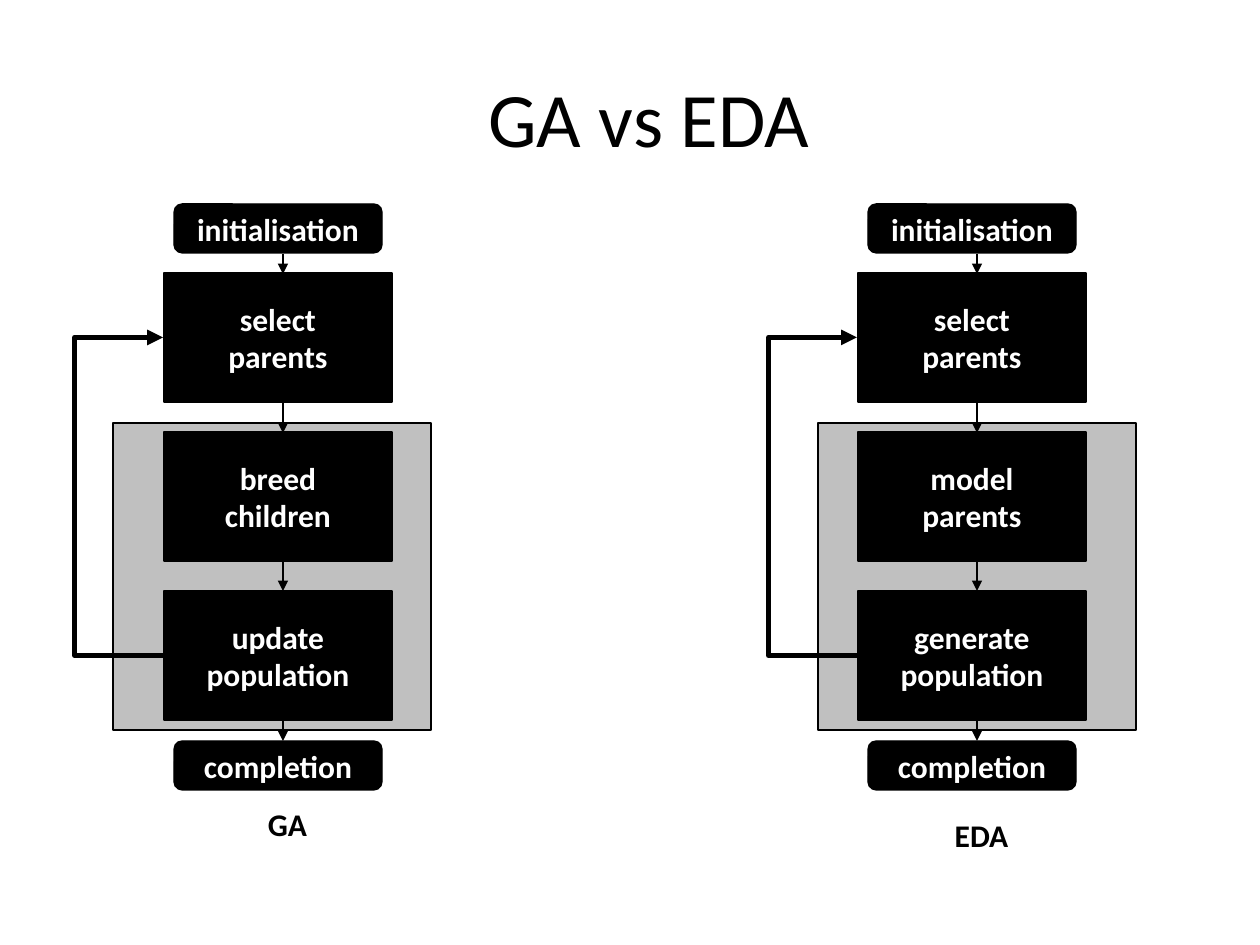
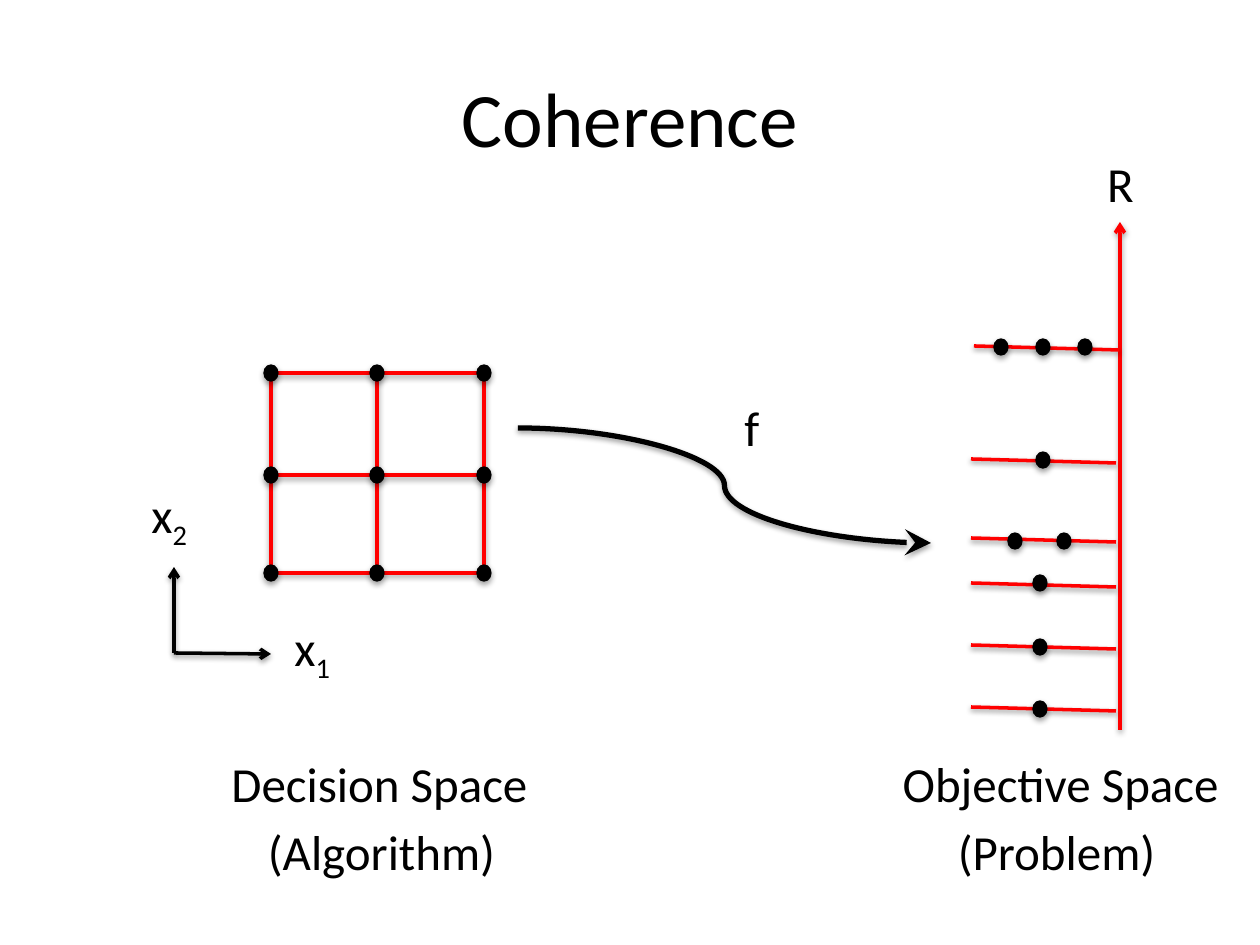
"""Build two slides: a GA and EDA flow comparison, and a coherence diagram."""
import pptx
import pptx.util
import pptx.dml.color
import pptx.enum.shapes
import pptx.enum.text
import pptx.oxml
import pptx.oxml.ns

BLACK = pptx.dml.color.RGBColor(0, 0, 0)
WHITE = pptx.dml.color.RGBColor(255, 255, 255)
GREY = pptx.dml.color.RGBColor(0xC0, 0xC0, 0xC0)
RED = pptx.dml.color.RGBColor(255, 0, 0)
FONT = "Calibri"
EMU_PER_PIXEL = 914400 / 126
LINE_SHADOW = (38000, 20000)
DOT_SHADOW = (35000, 23000)
SHADOW_BLUR = 40000

SHAPE = pptx.enum.shapes.MSO_SHAPE
CONNECTOR = pptx.enum.shapes.MSO_CONNECTOR
CENTER = pptx.enum.text.PP_ALIGN.CENTER
LEFT = pptx.enum.text.PP_ALIGN.LEFT

FLOWS = [
    {"left": 164, "panel": 113, "caption": ("GA", 799),
     "steps": ["select\nparents", "breed\nchildren", "update\npopulation"]},
    {"left": 858, "panel": 818, "caption": ("EDA", 810),
     "steps": ["select\nparents", "model\nparents", "generate\npopulation"]},
]
TERMINALS = [("initialisation", 204), ("completion", 741)]
STEP_TOP, STEP_PITCH, STEP_WIDTH, STEP_HEIGHT = 273, 159, 228, 129
FLOW_ARROWS = [(254, 274), (403, 433), (562, 591), (720, 741)]
LOOP_REACH = 90

GRID_COLUMNS = [271, 377, 484]
GRID_ROWS = [373, 475, 573]
DOT_WIDTH, DOT_HEIGHT = 14, 16
TICK_WIDTH, TICK_DROP = 145, 4
TICKS = [
    (974, 346, 347, [1001, 1043, 1085]),
    (971, 459, 460, [1043]),
    (971, 538, 541, [1015, 1064]),
    (971, 583, 583, [1040]),
    (971, 645, 647, [1040]),
    (971, 707, 709, [1040]),
]
AXES = [
    ((1120, 730), (1120, 222), RED),
    ((174, 653), (271, 654), BLACK),
    ((174, 653), (174, 567), BLACK),
]
LABELS = [
    ("R", "", 1085, 147, 71, CENTER),
    ("Decision Space", "", 210, 747, 339, CENTER),
    ("Objective Space", "", 881, 747, 359, CENTER),
    ("x", "1", 282, 611, 71, LEFT),
    ("x", "2", 139, 478, 71, LEFT),
    ("(Algorithm)", "", 212, 815, 339, CENTER),
    ("(Problem)", "", 887, 815, 339, CENTER),
    ("f", "", 732, 391, 68, LEFT),
]


def px(*lengths):
    return [pptx.util.Emu(round(length * EMU_PER_PIXEL)) for length in lengths]


def format_text(frame, size, color, bold=False, align=CENTER):
    for paragraph in frame.paragraphs:
        paragraph.alignment = align
        for run in paragraph.runs:
            run.font.name = FONT
            run.font.size = pptx.util.Pt(size)
            run.font.bold = bold
            run.font.color.rgb = color


def add_effects(properties, shadow):
    namespace = pptx.oxml.ns.nsdecls("a")
    outer = ""
    if shadow:
        alpha, distance = shadow
        outer = (f'<a:outerShdw blurRad="{SHADOW_BLUR}" dist="{distance}" dir="5400000" '
                 f'rotWithShape="0"><a:srgbClr val="000000"><a:alpha val="{alpha}"/>'
                 '</a:srgbClr></a:outerShdw>')
    properties.append(pptx.oxml.parse_xml(f"<a:effectLst {namespace}>{outer}</a:effectLst>"))


def add_line(slide, start, end, color, width, head=None, head_size="med",
             shadow=None, kind=CONNECTOR.STRAIGHT):
    line = slide.shapes.add_connector(kind, *px(*start, *end))
    line.line.color.rgb = color
    line.line.width = pptx.util.Pt(width)
    properties = line._element.spPr
    if head:
        namespace = pptx.oxml.ns.nsdecls("a")
        properties.find(pptx.oxml.ns.qn("a:ln")).append(pptx.oxml.parse_xml(
            f'<a:tailEnd {namespace} type="{head}" w="{head_size}" len="{head_size}"/>'))
    add_effects(properties, shadow)
    return line


def add_block(slide, kind, box, fill, text="", shadow=None):
    block = slide.shapes.add_shape(kind, *px(*box))
    block.fill.solid()
    block.fill.fore_color.rgb = fill
    block.line.color.rgb = BLACK
    block.line.width = pptx.util.Pt(0.75)
    if shadow:
        add_effects(block._element.spPr, shadow)
    else:
        block.shadow.inherit = False
    if text:
        frame = block.text_frame
        frame.text = text
        frame.word_wrap = False
        frame.vertical_anchor = pptx.enum.text.MSO_ANCHOR.MIDDLE
        format_text(frame, 18, WHITE, bold=True)


def add_label(slide, text, subscript, box, size, align=CENTER, bold=False):
    frame = slide.shapes.add_textbox(*px(*box)).text_frame
    frame.word_wrap = True
    frame.auto_size = pptx.enum.text.MSO_AUTO_SIZE.SHAPE_TO_FIT_TEXT
    frame.text = text
    if subscript:
        run = frame.paragraphs[0].add_run()
        run.text = subscript
        run._r.get_or_add_rPr().set("baseline", "-25000")
    format_text(frame, size, BLACK, bold, align)


def add_titled_slide(presentation, text, width):
    slide = presentation.slides.add_slide(presentation.slide_layouts[5])
    title = slide.shapes.title
    title.left, title.top, title.width, title.height = px(63, 38, width, 157)
    title.text_frame.text = text
    title.text_frame.vertical_anchor = pptx.enum.text.MSO_ANCHOR.MIDDLE
    format_text(title.text_frame, 44, BLACK)
    return slide


def add_loop(slide, left):
    first, last = [STEP_TOP + row * STEP_PITCH + STEP_HEIGHT / 2 for row in (0, 2)]
    loop = add_line(slide, (left, last), (left - 1, first), BLACK, 3, "triangle",
                    kind=CONNECTOR.ELBOW)
    adjustments = loop._element.spPr.find(".//" + pptx.oxml.ns.qn("a:avLst"))
    namespace = pptx.oxml.ns.nsdecls("a")
    adjustments.append(pptx.oxml.parse_xml(
        f'<a:gd {namespace} name="adj1" fmla="val {LOOP_REACH * 100000}"/>'))


def add_flow(slide, flow):
    left = flow["left"]
    add_block(slide, SHAPE.RECTANGLE, (flow["panel"], 423, 318, 307), GREY)
    for row, text in enumerate(flow["steps"]):
        box = (left, STEP_TOP + row * STEP_PITCH, STEP_WIDTH, STEP_HEIGHT)
        add_block(slide, SHAPE.RECTANGLE, box, BLACK, text)
    add_loop(slide, left)
    caption, top = flow["caption"]
    add_label(slide, caption, "", (left + 59, top, 129, 50), 18, bold=True)
    for text, top in TERMINALS:
        add_block(slide, SHAPE.ROUNDED_RECTANGLE, (left + 10, top, 208, 49), BLACK, text)
    for top, bottom in FLOW_ARROWS:
        add_line(slide, (left + 119, top), (left + 119, bottom), BLACK, 0.75, "triangle")


def add_dot(slide, x, y):
    box = (x - DOT_WIDTH / 2, y - DOT_HEIGHT / 2, DOT_WIDTH, DOT_HEIGHT)
    add_block(slide, SHAPE.OVAL, box, BLACK, shadow=DOT_SHADOW)


def add_grid(slide):
    for x in GRID_COLUMNS:
        add_line(slide, (x, GRID_ROWS[0]), (x, GRID_ROWS[-1]), RED, 2, shadow=LINE_SHADOW)
    for y in GRID_ROWS:
        add_line(slide, (GRID_COLUMNS[0], y), (GRID_COLUMNS[-1], y), RED, 2, shadow=LINE_SHADOW)
    for y in GRID_ROWS:
        for x in GRID_COLUMNS:
            add_dot(slide, x, y)


def add_ticks(slide):
    for left, top, dot_y, dots in TICKS:
        add_line(slide, (left, top), (left + TICK_WIDTH, top + TICK_DROP), RED, 2,
                 shadow=LINE_SHADOW)
        for x in dots:
            add_dot(slide, x, dot_y)


def main():
    presentation = pptx.Presentation()
    presentation.slide_width, presentation.slide_height = px(1260, 945)

    comparison = add_titled_slide(presentation, "GA vs EDA", 1172)
    for flow in FLOWS:
        add_flow(comparison, flow)

    coherence = add_titled_slide(presentation, "Coherence", 1134)
    for start, end, color in AXES:
        add_line(coherence, start, end, color, 2, "arrow", shadow=LINE_SHADOW)
    add_ticks(coherence)
    add_grid(coherence)
    add_line(coherence, (518, 428), (931, 543), BLACK, 3, "stealth", "lg",
             LINE_SHADOW, CONNECTOR.CURVE)
    for text, subscript, left, top, width, align in LABELS:
        add_label(coherence, text, subscript, (left, top, width, 72), 28, align)

    presentation.save("out.pptx")


main()
